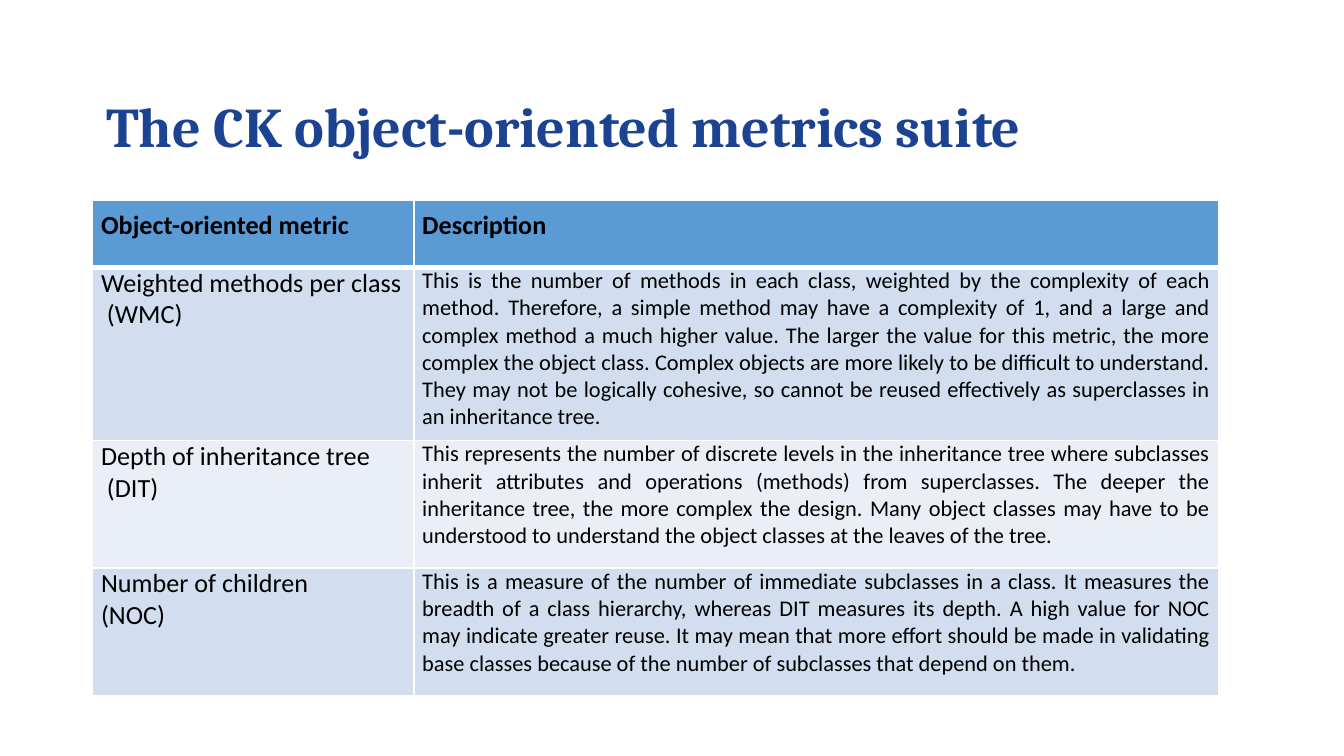
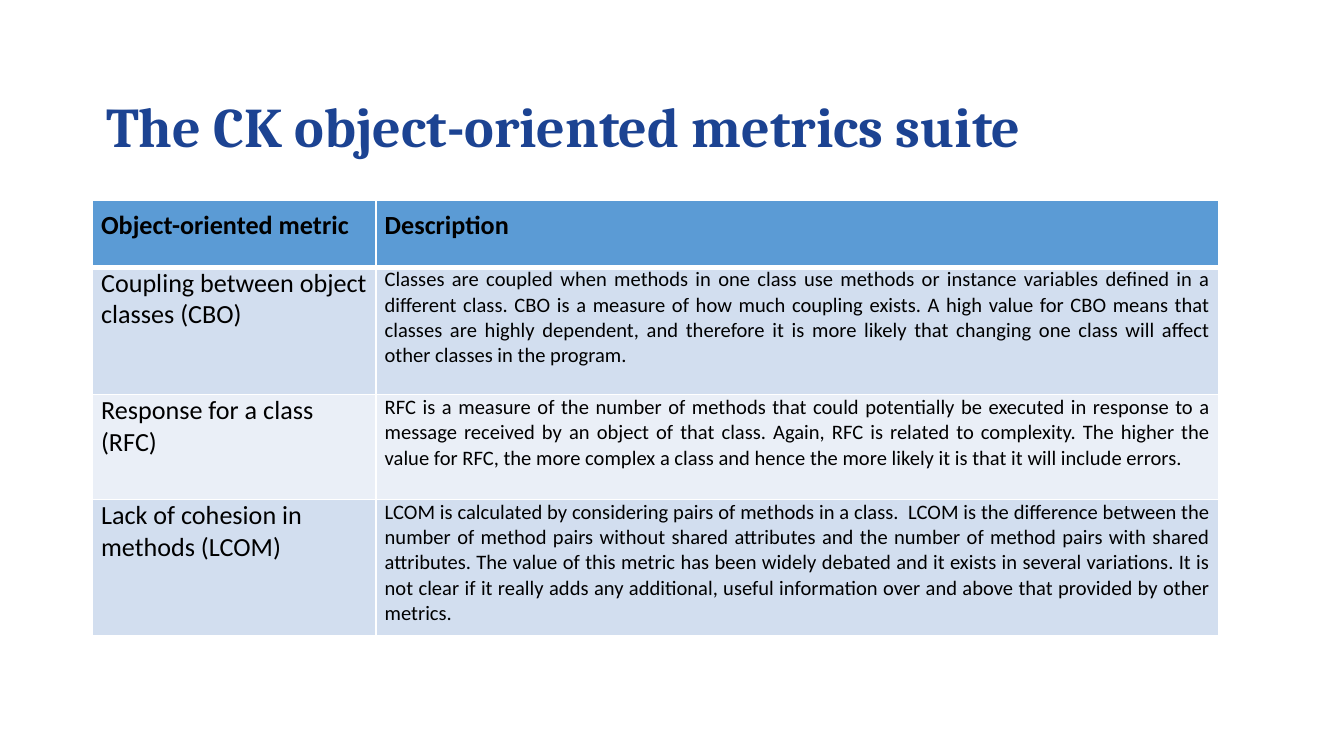
from collections import namedtuple

from lxml.etree import SubElement
from pptx import Presentation
from pptx.dml.color import RGBColor
from pptx.enum.text import MSO_ANCHOR, MSO_AUTO_SIZE, PP_ALIGN
from pptx.oxml.ns import qn
from pptx.util import Cm, Pt

Box = namedtuple("Box", "left top width height")

TITLE = "The CK object-oriented metrics suite"
HEADINGS = ("Object-oriented metric", "Description")
TITLE_BOX = Box(1.75, 1.57, 21.29, 1.75)
TABLE_LEFT, TABLE_TOP, TABLE_WIDTH = 1.75, 3.78, 21.29
HEADER_HEIGHT = 1.27
TITLE_FONT, BODY_FONT = "Cambria", "Calibri"
TITLE_COLOUR, TEXT_COLOUR, BORDER_COLOUR = "1C4392", "000000", "FFFFFF"
HEADER_FILL = "5B9BD5"
ROW_FILLS = ("D2DEEF", "EAEFF7")
METRIC_SIZE = 14

DESIGN_METRICS = [
    ("Weighted methods per class\n (WMC)",
     "This is the number of methods in each class, weighted by the complexity of each method. "
     "Therefore, a simple method may have a complexity of 1, and a large and complex method a "
     "much higher value. The larger the value for this metric, the more complex the object class. "
     "Complex objects are more likely to be difficult to understand. They may not be logically "
     "cohesive, so cannot be reused effectively as superclasses in an inheritance tree."),
    ("Depth of inheritance tree\n (DIT)",
     "This represents the number of discrete levels in the inheritance tree where subclasses "
     "inherit attributes and operations (methods) from superclasses. The deeper the inheritance "
     "tree, the more complex the design. Many object classes may have to be understood to "
     "understand the object classes at the leaves of the tree. "),
    ("Number of children \n(NOC)",
     "This is a measure of the number of immediate subclasses in a class. It measures the breadth "
     "of a class hierarchy, whereas DIT measures its depth. A high value for NOC may indicate "
     "greater reuse. It may mean that more effort should be made in validating base classes "
     "because of the number of subclasses that depend on them."),
]

COUPLING_METRICS = [
    ("Coupling between object classes (CBO)",
     "Classes are coupled when methods in one class use methods or instance variables defined in "
     "a different class. CBO is a measure of how much coupling exists. A high value for CBO means "
     "that classes are highly dependent, and therefore it is more likely that changing one class "
     "will affect other classes in the program."),
    ("Response for a class (RFC)",
     "RFC is a measure of the number of methods that could potentially be executed in response to "
     "a message received by an object of that class. Again, RFC is related to complexity. The "
     "higher the value for RFC, the more complex a class and hence the more likely it is that it "
     "will include errors."),
    ("Lack of cohesion in methods (LCOM)",
     "LCOM is calculated by considering pairs of methods in a class.  LCOM is the difference "
     "between the number of method pairs without shared attributes and the number of method pairs "
     "with shared attributes. The value of this metric has been widely debated and it exists in "
     "several variations. It is not clear if it really adds any additional, useful information "
     "over and above that provided by other metrics."),
]


def colour(value):
    return RGBColor.from_string(value)


def format_runs(para, font, size, value, bold):
    for span in para.runs:
        span.font.name = font
        span.font.size = Pt(size)
        span.font.bold = bold
        span.font.color.rgb = colour(value)
    for line_break in para._p.findall(qn("a:br")):
        SubElement(line_break, qn("a:rPr"), sz=str(size * 100))


def add_title(page, box):
    title = page.shapes.title
    title.left, title.top, title.width, title.height = (Cm(length) for length in box)
    frame = title.text_frame
    frame.text = TITLE
    frame.word_wrap = True
    frame.auto_size = MSO_AUTO_SIZE.NONE
    frame.vertical_anchor = MSO_ANCHOR.MIDDLE
    para = frame.paragraphs[0]
    para.alignment = PP_ALIGN.LEFT
    para.line_spacing = 0.9
    format_runs(para, TITLE_FONT, 30, TITLE_COLOUR, True)


def add_borders(cell, top, bottom):
    properties = cell._tc.get_or_add_tcPr()
    for side, width in (("L", 1), ("R", 1), ("T", top), ("B", bottom)):
        line = SubElement(properties, qn(f"a:ln{side}"), w=str(Pt(width)))
        fill = SubElement(line, qn("a:solidFill"))
        SubElement(fill, qn("a:srgbClr"), val=BORDER_COLOUR)


def fill_cell(cell, text, row, size, alignment):
    header = row == 0
    add_borders(cell, 3 if row == 1 else 1, 3 if header else 1)
    cell.fill.solid()
    cell.fill.fore_color.rgb = colour(HEADER_FILL if header else ROW_FILLS[(row - 1) % 2])
    cell.margin_left = cell.margin_right = Cm(0.16)
    cell.margin_top = Cm(0.18 if header else 0)
    cell.margin_bottom = Cm(0.18)
    para = cell.text_frame.paragraphs[0]
    para.text = text
    para.alignment = alignment
    format_runs(para, BODY_FONT, size, TEXT_COLOUR, header)


def add_metric_table(page, box, metrics, metric_width, row_heights, description_size):
    rows = [HEADINGS, *metrics]
    table = page.shapes.add_table(len(rows), 2, *(Cm(length) for length in box)).table
    table.columns[0].width = Cm(metric_width)
    table.columns[1].width = Cm(box.width - metric_width)
    for row, (metric, description) in enumerate(rows):
        header = row == 0
        table.rows[row].height = Cm(row_heights[row])
        fill_cell(table.cell(row, 0), metric, row, METRIC_SIZE,
                  PP_ALIGN.JUSTIFY if header else PP_ALIGN.LEFT)
        fill_cell(table.cell(row, 1), description, row,
                  METRIC_SIZE if header else description_size, PP_ALIGN.JUSTIFY)


def add_metric_page(deck, metrics, metric_width, body_heights, description_size):
    page = deck.slides.add_slide(deck.slide_layouts[5])
    add_title(page, TITLE_BOX)
    row_heights = [HEADER_HEIGHT, *body_heights]
    box = Box(TABLE_LEFT, TABLE_TOP, TABLE_WIDTH, sum(row_heights))
    add_metric_table(page, box, metrics, metric_width, row_heights, description_size)


def main():
    deck = Presentation()
    deck.slide_width, deck.slide_height = Cm(25.4), Cm(14.29)
    add_metric_page(deck, DESIGN_METRICS, 6.07, (2.84, 2.41, 2.41), 12)
    add_metric_page(deck, COUPLING_METRICS, 5.36, (2.41, 1.98, 2.41), 11)
    deck.save("out.pptx")


if __name__ == "__main__":
    main()
